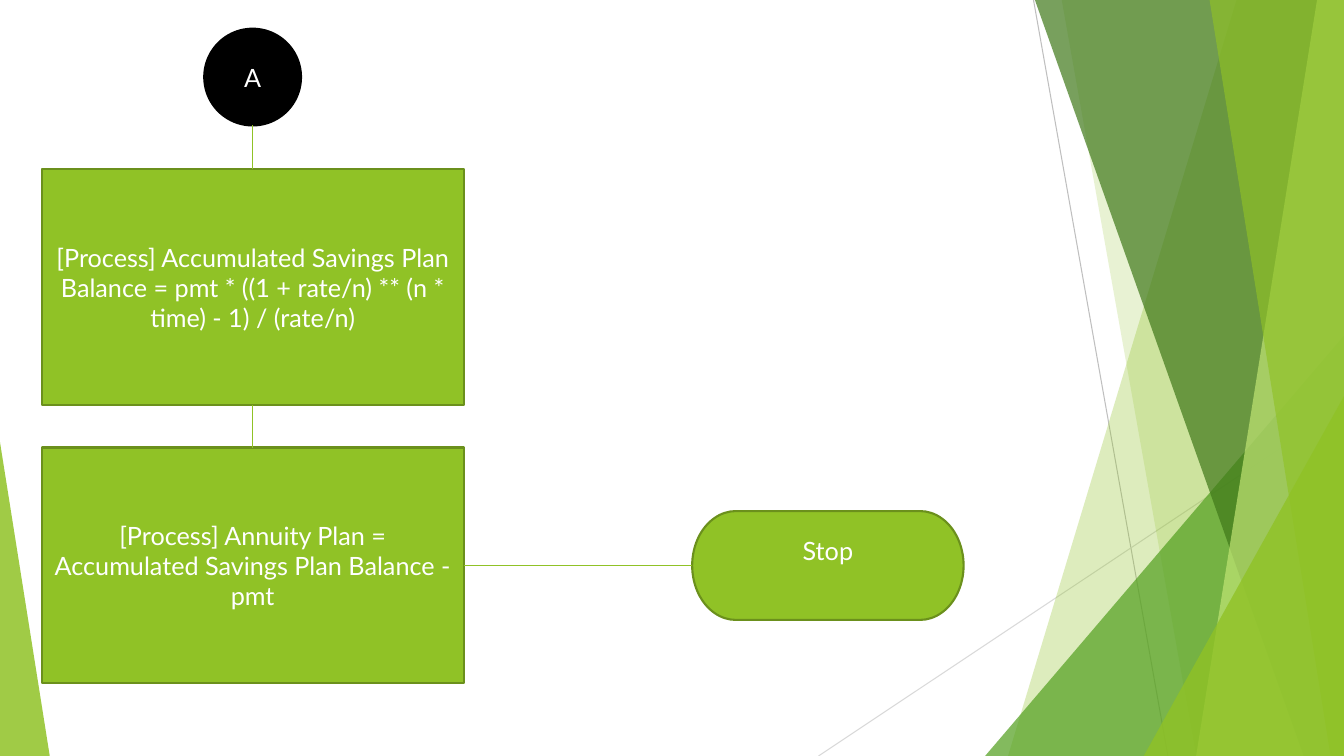
from pptx import Presentation
from pptx.dml.color import RGBColor
from pptx.enum.shapes import MSO_CONNECTOR, MSO_SHAPE
from pptx.enum.text import MSO_ANCHOR, PP_ALIGN
from pptx.oxml.ns import qn
from pptx.util import Inches, Pt
from lxml.etree import SubElement

LIME = RGBColor(0x90, 0xC2, 0x26)
OLIVE = RGBColor(0x6B, 0x90, 0x1C)
GREEN = RGBColor(0x54, 0xA0, 0x21)
FOREST = RGBColor(0x3F, 0x78, 0x19)
PALE = RGBColor(0xC0, 0xE4, 0x74)
GREY = RGBColor(0xBF, 0xBF, 0xBF)
SILVER = RGBColor(0xD9, 0xD9, 0xD9)
BLACK = RGBColor(0, 0, 0)
WHITE = RGBColor(0xFF, 0xFF, 0xFF)

deck = Presentation()
deck.slide_width, deck.slide_height = Inches(13.33), Inches(7.5)
slide = deck.slides.add_slide(deck.slide_layouts[6])
shapes = slide.shapes

# The grid has 100 columns and 100 rows.
col = deck.slide_width / 100
row = deck.slide_height / 100


def draw(ends, color, width):
    """Draw a straight line between two points given in slide units."""
    line = shapes.add_connector(MSO_CONNECTOR.STRAIGHT, *map(round, ends))
    line.line.color.rgb = color
    line.line.width = Pt(width)
    SubElement(line._element.spPr, qn("a:effectLst"))


def write(text, kind, left, top, width, height, fill=LIME, edge=OLIVE,
          size=18, font="Lato", color=WHITE, lift=0):
    """Add a flowchart step on the grid; lift raises its text, in inches."""
    step = shapes.add_shape(kind, round(left * col), round(top * row),
                            round(width * col), round(height * row))
    step.shadow.inherit = False
    step.fill.solid()
    step.fill.fore_color.rgb = fill
    step.line.color.rgb = edge
    step.line.width = Pt(1.5)
    frame = step.text_frame
    frame.word_wrap = True
    frame.vertical_anchor = MSO_ANCHOR.MIDDLE
    frame.margin_bottom = Inches(0.05 + lift)
    para = frame.paragraphs[0]
    para.alignment = PP_ALIGN.CENTER
    run = para.add_run()
    run.text = text
    run.font.size = Pt(size)
    run.font.name = font
    run.font.color.rgb = color
    return step


# Backdrop lines
draw((76.9 * col, 0, 86.9 * col, 100 * row), GREY, 0.75)
draw((100 * col, 53.7 * row, 60.9 * col, 100 * row), SILVER, 0.75)

# Panels run from a top column and a foot column to the right edge.
# Wedges are triangles on the foot of the slide: left, top, width, peak.
facets = [
    ("panel", (92.1, 75.3), LIME, 30),
    ("panel", (78.75, 88.75), LIME, 20),
    ("wedge", (73.3, 44.4, 26.7, 1), GREEN, 72),
    ("panel", (76.6, 96.85), FOREST, 70),
    ("panel", (97.75, 89.4), PALE, 70),
    ("panel", (89.7, 98.9), LIME, 65),
    ("wedge", (85.1, 52.4, 14.9, 1), LIME, 80),
    ("wedge", (0, 58.5, 3.7, 0), LIME, 85),
]
for kind, place, color, alpha in facets:
    if kind == "panel":
        head, foot = place
        pen = shapes.build_freeform(head, 0, scale=(col, row))
        pen.add_line_segments([(100, 0), (100, 100), (foot, 100)], close=True)
        facet = pen.convert_to_shape()
    else:
        left, top, width, peak = place
        facet = shapes.add_shape(
            MSO_SHAPE.ISOSCELES_TRIANGLE, round(left * col), round(top * row),
            round(width * col), round((100 - top) * row))
        facet.adjustments[0] = peak
    facet.shadow.inherit = False
    facet.line.fill.background()
    facet.fill.solid()
    facet.fill.fore_color.rgb = color
    tint = facet._element.spPr.find(qn("a:solidFill"))[0]
    SubElement(tint, qn("a:alpha"), val=str(alpha * 1000))

# Flowchart steps
start = write("A", MSO_SHAPE.FLOWCHART_CONNECTOR, 15.2, 3.8, 7.2, 12.8,
              fill=BLACK, edge=BLACK)
formulas = [
    "[Process] Accumulated Savings Plan Balance = "
    "pmt * ((1 + rate/n) ** (n * time) - 1) / (rate/n)",
    "[Process] Annuity Plan = Accumulated Savings Plan Balance - pmt",
]
save, pay = [
    write(text, MSO_SHAPE.FLOWCHART_PROCESS, 3.1, 22.4 + 36.8 * i, 31.4, 31.2)
    for i, text in enumerate(formulas)
]
stop = write("Stop", MSO_SHAPE.FLOWCHART_TERMINATOR, 51.5, 67.6, 20.2, 14.4,
             lift=0.3)

# Links between the steps
mid = save.left + save.width / 2
for above, below in [(start, save), (save, pay)]:
    draw((mid, above.top + above.height, mid, below.top), LIME, 1)
level = pay.top + pay.height / 2
draw((pay.left + pay.width, level, stop.left, level), LIME, 1)

deck.save("out.pptx")
